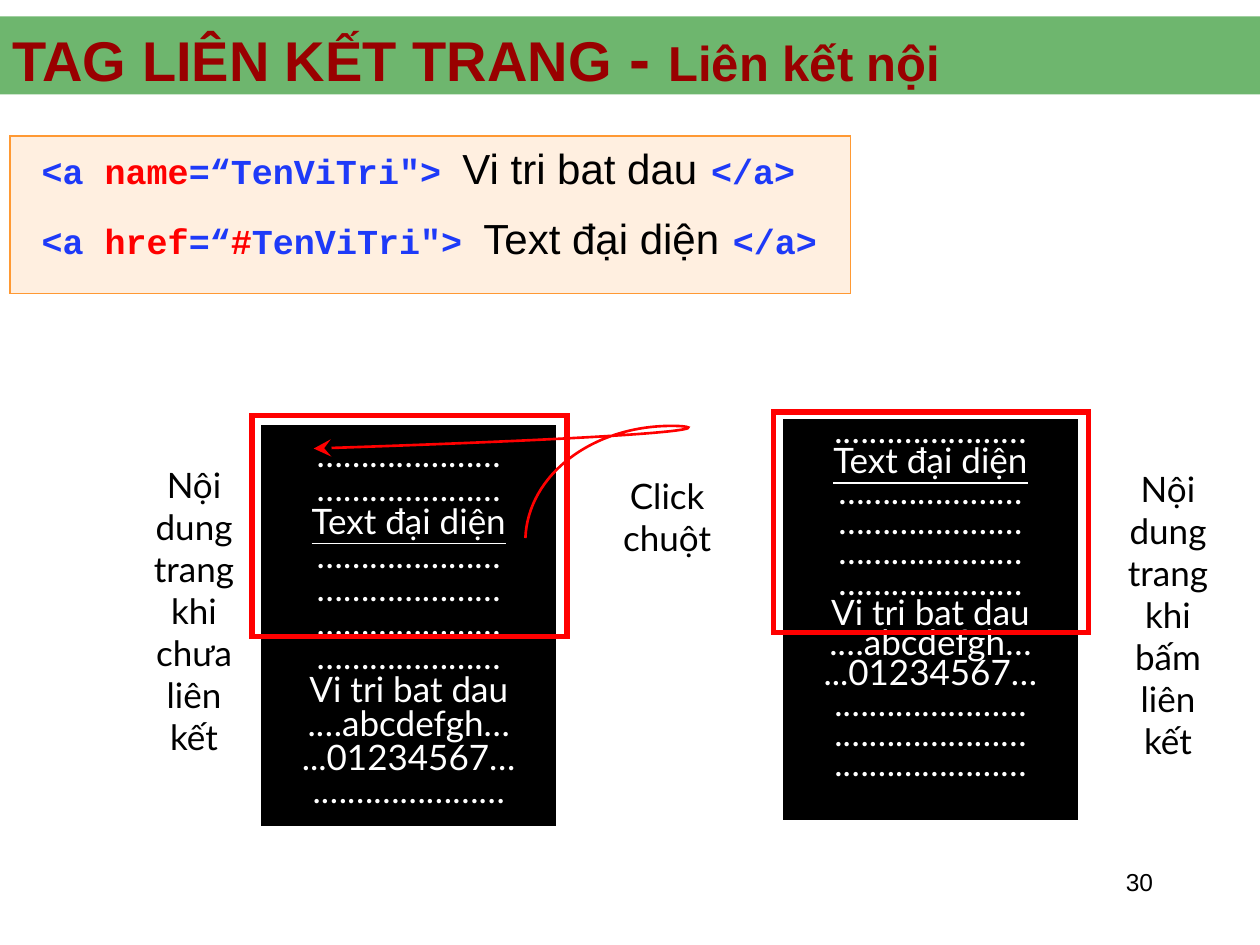
"""Build the slide that explains links inside one web page."""
from dataclasses import dataclass

import pptx
import pptx.dml.color
import pptx.enum.shapes
import pptx.enum.text
import pptx.oxml
import pptx.oxml.ns
import pptx.util
from pptx.util import Inches

ALIGN = pptx.enum.text.PP_ALIGN
ANCHOR = pptx.enum.text.MSO_ANCHOR
NAMESPACE = pptx.oxml.ns.nsdecls("a")


@dataclass(frozen=True)
class Theme:
    """Colours, fonts and type sizes of the slide."""
    black: str = "000000"
    white: str = "FFFFFF"
    red: str = "FF0000"
    blue: str = "1E3AF8"
    green: str = "008000"
    title: str = "990000"
    peach: str = "FFCC99"
    orange: str = "FF9933"
    sans: str = "Arial"
    code: str = "Courier New"
    body: str = "Lato"
    title_size: int = 32
    dash_size: int = 36
    subtitle_size: int = 28
    gap_size: int = 28
    sample_size: int = 24
    body_size: int = 20
    number_size: int = 14


THEME = Theme()
DOTS = "…………………"
LONG_DOTS = "." + DOTS
LINK = "Text đại diện"
TARGET = "Vi tri bat dau"
TARGET_LINES = [TARGET, ".…abcdefgh…", "...01234567…"]
PAGE_BEFORE = [DOTS] * 2 + [LINK] + [DOTS] * 4 + TARGET_LINES + [LONG_DOTS]
PAGE_AFTER = [LONG_DOTS, LINK] + [DOTS] * 4 + TARGET_LINES + [LONG_DOTS] * 3


def rgb(colour):
    """Return the colour object for a hex string."""
    return pptx.dml.color.RGBColor.from_string(colour)


def set_font(font, name, size, colour, bold=False):
    """Set the typeface, size, colour and weight of a font."""
    font.name = name
    font.size = pptx.util.Pt(size)
    font.color.rgb = rgb(colour)
    font.bold = bold


def set_line(shape, colour, weight):
    """Give a shape a solid outline with sharp corners and return its element."""
    shape.line.color.rgb = rgb(colour)
    shape.line.width = pptx.util.Pt(weight)
    line = shape.line._get_or_add_ln()
    line.append(pptx.oxml.parse_xml(f'<a:miter {NAMESPACE} lim="800000"/>'))
    return line


def add_run(paragraph, text, *style):
    """Add a run with its own font."""
    run = paragraph.add_run()
    run.text = text
    set_font(run.font, *style)


def add_box(slide, left, top, width, height, fill=None, opacity=100, line=None, weight=0.75):
    """Add a rectangle with an optional fill and outline."""
    shape = slide.shapes.add_shape(
        pptx.enum.shapes.MSO_SHAPE.RECTANGLE,
        Inches(left), Inches(top), Inches(width), Inches(height))
    shape.shadow.inherit = False
    if fill:
        shape.fill.solid()
        shape.fill.fore_color.rgb = rgb(fill)
        if opacity < 100:
            colour = shape.fill._xPr.find(".//" + pptx.oxml.ns.qn("a:srgbClr"))
            colour.append(pptx.oxml.parse_xml(f'<a:alpha {NAMESPACE} val="{opacity * 1000}"/>'))
    else:
        shape.fill.background()
    if line:
        set_line(shape, line, weight)
    else:
        shape.line.fill.background()
    return shape


def add_text(slide, left, top, width, height, text="", font=THEME.body,
             size=THEME.body_size, align=ALIGN.CENTER):
    """Add a wrapping text box and return its text frame."""
    box = slide.shapes.add_textbox(Inches(left), Inches(top), Inches(width), Inches(height))
    frame = box.text_frame
    frame.word_wrap = True
    paragraph = frame.paragraphs[0]
    paragraph.alignment = align
    if text:
        paragraph.text = text
        set_font(paragraph.font, font, size, THEME.black)
    return frame


def add_title(slide):
    """Add the green band and the title over it."""
    add_box(slide, 0, 0.13, 10, 0.62, THEME.green, 57)
    frame = add_text(slide, 0, 0.24, 10, 0.42, align=ALIGN.LEFT)
    frame.vertical_anchor = ANCHOR.MIDDLE
    for text, size in (("TAG LIÊN KẾT TRANG", THEME.title_size), (" - ", THEME.dash_size),
                       ("Liên kết nội", THEME.subtitle_size)):
        add_run(frame.paragraphs[0], text, THEME.sans, size, THEME.title, True)


def add_syntax(slide):
    """Add the framed box with the two anchor tags."""
    frame = add_box(slide, 0.08, 1.08, 6.67, 1.25, THEME.peach, 30, THEME.orange).text_frame
    frame.word_wrap = True
    frame.vertical_anchor = ANCHOR.TOP
    frame.margin_left = 0
    tags = [
        ([("<a ", THEME.blue), ("name", THEME.red), ('=“TenViTri"> ', THEME.blue)], TARGET),
        ([("<a ", THEME.blue), ("href", THEME.red), ("=“", THEME.blue),
          ("#", THEME.red), ('TenViTri"> ', THEME.blue)], LINK),
    ]
    for index, (opening, sample) in enumerate(tags):
        paragraph = frame.add_paragraph() if index else frame.paragraphs[0]
        paragraph.alignment = ALIGN.LEFT
        paragraph.line_spacing = 0.9
        paragraph.space_before = pptx.util.Pt(6.2 if index else 0)
        paragraph.space_after = pptx.util.Pt(3.7)
        properties = paragraph._p.get_or_add_pPr()
        properties.set("marL", str(Inches(0.5)))
        properties.set("indent", str(Inches(-0.25)))
        for text, colour in opening:
            add_run(paragraph, text, THEME.code, THEME.body_size, colour, True)
        add_run(paragraph, sample, THEME.sans, THEME.sample_size, THEME.black)
        add_run(paragraph, " ", THEME.sans, THEME.gap_size, THEME.black)
        add_run(paragraph, "</a>", THEME.code, THEME.body_size, THEME.blue, True)


def add_page(slide, left, top, lines, spacing, anchor):
    """Add a black web page with centred lines and an underlined link."""
    frame = add_box(slide, left, top, 2.33, 3.17, THEME.black, line=THEME.black).text_frame
    frame.word_wrap = False
    frame.vertical_anchor = anchor
    frame.margin_top = frame.margin_bottom = 0
    for index, text in enumerate(lines):
        paragraph = frame.add_paragraph() if index else frame.paragraphs[0]
        paragraph.text = text
        paragraph.alignment = ALIGN.CENTER
        paragraph.line_spacing = spacing
        set_font(paragraph.font, THEME.body, THEME.body_size, THEME.white)
        if text == LINK:
            paragraph.font.underline = True


def add_click_curve(slide):
    """Add the red curved arrow that stands for the click."""
    points = [(5.83, 3.45), (5.58, 3.38), (5.33, 3.38), (4.7, 3.38), (4.19, 3.77), (4.17, 4.27)]
    builder = slide.shapes.build_freeform(Inches(2.49), Inches(3.56))
    builder.add_line_segments([(Inches(x), Inches(y)) for x, y in points], close=False)
    shape = builder.convert_to_shape()
    shape.shadow.inherit = False
    shape.fill.background()
    set_line(shape, THEME.red, 1.5).append(
        pptx.oxml.parse_xml(f'<a:headEnd {NAMESPACE} type="stealth" w="lg" len="lg"/>'))
    outline = shape._element.find(".//" + pptx.oxml.ns.qn("a:path"))
    segments = outline.findall(pptx.oxml.ns.qn("a:lnTo"))
    for start in range(0, len(segments), 3):
        curve = pptx.oxml.parse_xml(f"<a:cubicBezTo {NAMESPACE}/>")
        outline.append(curve)
        for segment in segments[start:start + 3]:
            curve.append(segment[0])
            outline.remove(segment)


def main():
    """Build and save the slide."""
    presentation = pptx.Presentation()
    presentation.slide_width = Inches(10)
    presentation.slide_height = Inches(7.5)
    slide = presentation.slides.add_slide(presentation.slide_layouts[6])
    add_text(slide, 7.17, 6.83, 2.08, 0.5, "30", THEME.sans, THEME.number_size, ALIGN.RIGHT)
    add_title(slide)
    add_syntax(slide)
    add_page(slide, 2.08, 3.38, PAGE_BEFORE, 0.8, ANCHOR.MIDDLE)
    add_text(slide, 1.08, 3.63, 0.92, 2.44, "Nội dung trang khi chưa liên kết")
    add_page(slide, 6.22, 3.33, PAGE_AFTER, 0.72, ANCHOR.TOP)
    add_text(slide, 8.81, 3.66, 0.92, 2.44, "Nội dung trang khi bấm liên kết")
    for left, top in ((2, 3.3), (6.14, 3.27)):
        add_box(slide, left, top, 2.5, 1.75, line=THEME.red, weight=3)
    add_click_curve(slide)
    add_text(slide, 4.67, 3.72, 1.25, 0.77, "Click chuột")
    presentation.save("out.pptx")


if __name__ == "__main__":
    main()
